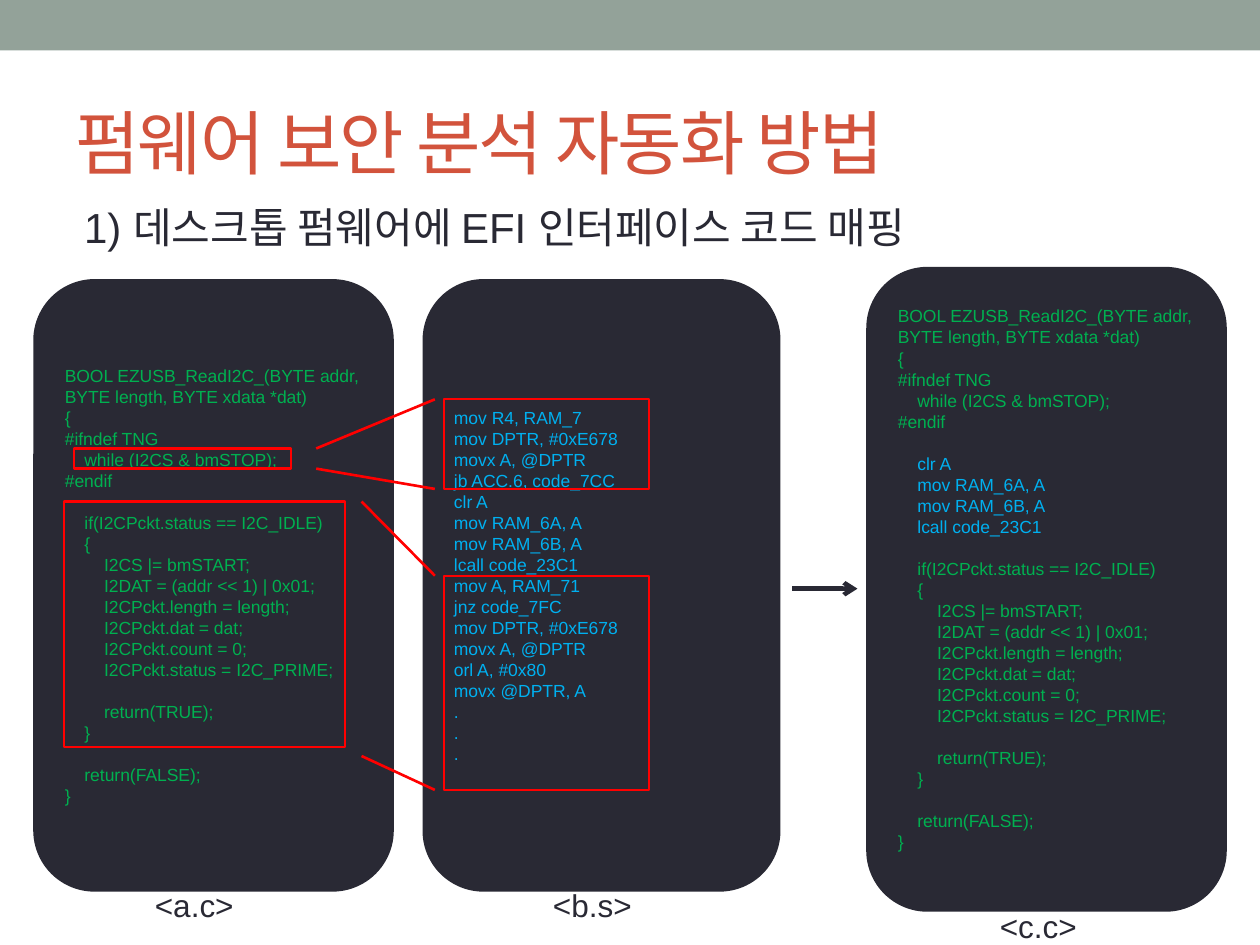
from dataclasses import dataclass

from pptx import Presentation
from pptx.dml.color import RGBColor
from pptx.enum.shapes import MSO_CONNECTOR, MSO_SHAPE
from pptx.enum.text import MSO_ANCHOR, MSO_AUTO_SIZE, PP_ALIGN
from pptx.oxml.ns import qn
from pptx.util import Pt
from lxml import etree

RECT = MSO_SHAPE.RECTANGLE
ROUND = MSO_SHAPE.ROUNDED_RECTANGLE
STRAIGHT = MSO_CONNECTOR.STRAIGHT
LEFT = PP_ALIGN.LEFT
TOP, MIDDLE = MSO_ANCHOR.TOP, MSO_ANCHOR.MIDDLE
GROW = MSO_AUTO_SIZE.SHAPE_TO_FIT_TEXT


@dataclass(frozen=True)
class Theme:
    font: str = "Arial"
    band: str = "93A299"
    title: str = "D2533C"
    dark: str = "292934"
    green: str = "00B050"
    blue: str = "00B0F0"
    red: str = "FF0000"
    head: float = 40
    sub: float = 24
    label: float = 18
    code: float = 10
    row: float = 12      # height of an empty code line
    step: float = 2.8    # width of one space of code indent


START = """BOOL EZUSB_ReadI2C_(BYTE addr, BYTE length, BYTE xdata *dat)
{
#ifndef TNG
    while (I2CS & bmSTOP);
#endif"""

BODY = """    if(I2CPckt.status == I2C_IDLE)
    {
        I2CS |= bmSTART;
        I2DAT = (addr << 1) | 0x01;
        I2CPckt.length = length;
        I2CPckt.dat = dat;
        I2CPckt.count = 0;
        I2CPckt.status = I2C_PRIME;

        return(TRUE);
    }

    return(FALSE);
}"""

CALL = """clr A
mov RAM_6A, A
mov RAM_6B, A
lcall code_23C1"""

ASM = f"""mov R4, RAM_7
mov DPTR, #0xE678
movx A, @DPTR
jb ACC.6, code_7CC
{CALL}
mov A, RAM_71
jnz code_7FC
mov DPTR, #0xE678
movx A, @DPTR
orl A, #0x80
movx @DPTR, A
.
.
."""


def color(code):
    return RGBColor.from_string(code)


def write(para, text, *, font, size, tint, track=0, indent=0, before=0):
    para.alignment = LEFT
    para.space_before = Pt(before)
    if indent:
        props = para._p.get_or_add_pPr()
        props.set("marL", str(Pt(indent)))
        props.set("indent", "0")
    run = para.add_run()
    run.text = text
    run.font.name = font
    run.font.size = Pt(size)
    run.font.color.rgb = color(tint)
    if track:
        run._r.get_or_add_rPr().set("spc", str(track * 100))


class Deck:
    def __init__(self, theme):
        self.theme = theme
        self.file = Presentation()
        self.file.slide_width, self.file.slide_height = Pt(720), Pt(540)
        self.slide = self.file.slides.add_slide(self.file.slide_layouts[6])

    def shape(self, kind, box, fill=None, line=None, width=1):
        item = self.slide.shapes.add_shape(kind, *map(Pt, box))
        item.shadow.inherit = False
        if fill:
            item.fill.solid()
            item.fill.fore_color.rgb = color(fill)
        else:
            item.fill.background()
        if line:
            item.line.color.rgb = color(line)
            item.line.width = Pt(width)
        else:
            item.line.fill.background()
        return item

    def text(self, box, text, size, tint, wrap=False, anchor=TOP, track=0):
        frame = self.slide.shapes.add_textbox(*map(Pt, box)).text_frame
        frame.word_wrap = wrap
        frame.vertical_anchor = anchor
        if not wrap:
            frame.auto_size = GROW
        write(frame.paragraphs[0], text, font=self.theme.font, size=size,
              tint=tint, track=track)

    def panel(self, box, blocks, foot=0):
        """Draw a code panel; each block is (code, colour, base indent)."""
        look = self.theme
        frame = self.shape(ROUND, box, look.dark, look.dark, 2).text_frame
        frame.word_wrap = True
        frame.vertical_anchor = MIDDLE
        frame.margin_bottom = Pt(3.6 + foot)
        para, gap = frame.paragraphs[0], 0
        for code, tint, base in blocks:
            for line in code.split("\n"):
                bare = line.lstrip()
                if not bare:
                    gap = look.row
                    continue
                if para is None:
                    para = frame.add_paragraph()
                depth = base + len(line) - len(bare)
                write(para, bare, font=look.font, size=look.code, tint=tint,
                      indent=depth * look.step, before=gap)
                para, gap = None, 0
            gap = look.row

    def line(self, start, end, tint, width, arrow=False):
        item = self.slide.shapes.add_connector(
            STRAIGHT, *map(Pt, (*start, *end)))
        item.line.color.rgb = color(tint)
        item.line.width = Pt(width)
        if arrow:
            tail = etree.SubElement(item.line._get_or_add_ln(),
                                    qn("a:tailEnd"))
            tail.set("type", "arrow")
        etree.SubElement(item._element.spPr, qn("a:effectLst"))


def main():
    look = Theme()
    deck = Deck(look)
    deck.shape(RECT, (0, 0, 720, 28.8), look.band)
    deck.text((36, 42, 648, 78), "펌웨어 보안 분석 자동화 방법", look.head,
              look.title, wrap=True, anchor=MIDDLE, track=-1)
    deck.text((41, 111.6, 526, 36), "1) 데스크톱 펌웨어에 EFI 인터페이스 코드 매핑",
              look.sub, look.dark)

    start, body = (START, look.green, 0), (BODY, look.green, 0)
    deck.panel((20, 160.5, 204, 348), [start, body])
    deck.panel((242.5, 160.5, 202.5, 348), [(ASM, look.blue, 0)])
    deck.panel((496, 153.5, 204, 366.5),
               [start, (CALL, look.blue, 4), body], foot=look.row)

    # source frame, target frame, start of the two leader lines
    links = [
        ((42.5, 256.3, 124, 11.5), (253.5, 228.2, 117.5, 51.2),
         (180.7, 256.3, 267.8)),
        ((36.7, 286.6, 160.6, 140.4), (253.5, 329, 117.5, 122.4),
         (206.6, 286.6, 432)),
    ]
    for source, target, (x, high, low) in links:
        for box in (source, target):
            deck.shape(RECT, box, line=look.red, width=1.25)
        left, top, _, height = target
        for y, end in ((high, top), (low, top + height)):
            deck.line((x, y), (left - 5, end), look.red, 1.5)

    deck.line((452.7, 336.4), (490, 336.4), look.dark, 2.5, arrow=True)
    for x, y, name in ((81.4, 502.6, "<a.c>"), (308.9, 502.6, "<b.s>"),
                       (564.2, 514.8, "<c.c>")):
        deck.text((x, y, 68, 33), name, look.label, look.dark)
    deck.file.save("out.pptx")


if __name__ == "__main__":
    main()
